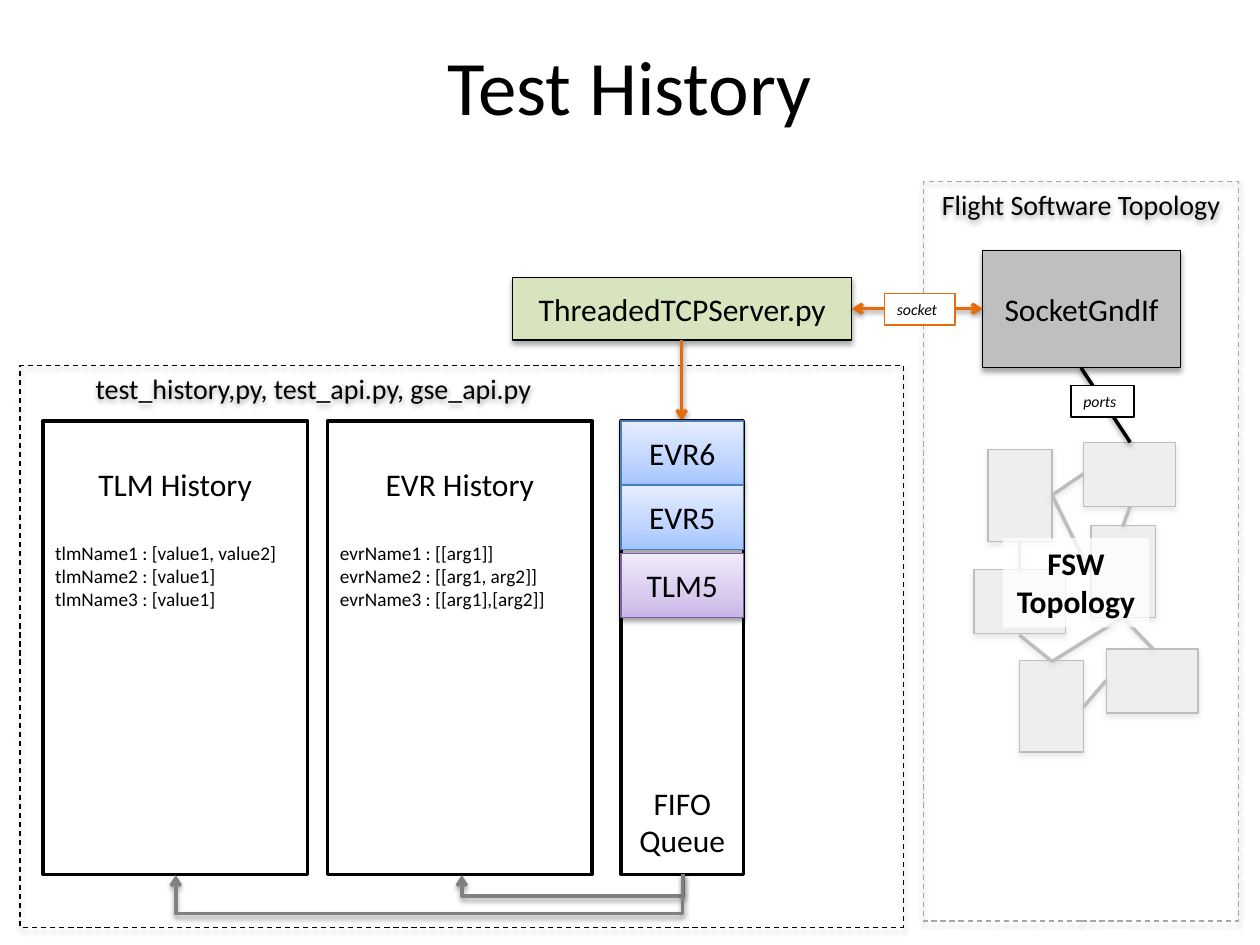
"""Build the Test History architecture slide."""
import copy
from dataclasses import dataclass

import lxml.etree
import pptx
import pptx.dml.color
import pptx.enum.dml
import pptx.enum.shapes
import pptx.enum.text
import pptx.oxml
import pptx.oxml.ns
import pptx.util

PX = 9144
ALIGN = pptx.enum.text.PP_ALIGN
ANCHOR = pptx.enum.text.MSO_ANCHOR
CONNECTOR = pptx.enum.shapes.MSO_CONNECTOR
qn = pptx.oxml.ns.qn


@dataclass(frozen=True)
class Theme:
    font: str = "Calibri"
    black: str = "000000"
    white: str = "FFFFFF"
    gray: str = "BFBFBF"
    frame: str = "A6A6A6"
    feed: str = "808080"
    orange: str = "E46C0A"
    green: str = "D7E4BD"
    blue_edge: str = "4B7EBC"
    purple_edge: str = "7D60A0"
    blue: tuple = ("A4C4FF", "BFD4FF", "E6EEFF")
    purple: tuple = ("C9B5E8", "D8CBEE", "F0EAF9")
    title: int = 44
    body: int = 18
    heading: int = 16
    entry: int = 11
    label: int = 9
    thin: float = 0.75
    thick: float = 2


def rgb(value):
    return pptx.dml.color.RGBColor.from_string(value)


class Diagram:
    def __init__(self, slide, theme):
        self.slide = slide
        self.theme = theme

    def shadow(self, effects, opacity, distance):
        outer = lxml.etree.SubElement(
            effects, qn("a:outerShdw"), blurRad="39370", dist=str(pptx.util.Pt(distance)),
            dir="5400000", rotWithShape="0")
        color = lxml.etree.SubElement(outer, qn("a:srgbClr"), val=self.theme.black)
        lxml.etree.SubElement(color, qn("a:alpha"), val=str(opacity * 1000))

    def gradient(self, shape, colors):
        shape.fill.gradient()
        shape.fill.gradient_angle = 90
        stops = shape._element.spPr.find(".//" + qn("a:gsLst"))
        stops.insert(1, copy.deepcopy(stops[0]))
        for stop, position, color in zip(shape.fill.gradient_stops, (0, 0.35, 1), colors):
            stop.position = position
            stop.color.rgb = rgb(color)

    def box(self, place, fill=None, edge=None, width=None, dashed=False,
            shadow=None, rotation=0, opacity=100):
        shape = self.slide.shapes.add_shape(
            pptx.enum.shapes.MSO_SHAPE.RECTANGLE, *(length * PX for length in place))
        shape.rotation = rotation
        shape.shadow.inherit = False
        if shadow:
            self.shadow(shape._element.spPr.find(qn("a:effectLst")), *shadow)
        if isinstance(fill, tuple):
            self.gradient(shape, fill)
        elif fill:
            shape.fill.solid()
            shape.fill.fore_color.rgb = rgb(fill)
            if opacity < 100:
                color = shape._element.spPr.find(".//" + qn("a:solidFill") + "/" + qn("a:srgbClr"))
                lxml.etree.SubElement(color, qn("a:alpha"), val=str(opacity * 1000))
        else:
            shape.fill.background()
        if edge:
            shape.line.color.rgb = rgb(edge)
            shape.line.width = pptx.util.Pt(width or self.theme.thin)
            if dashed:
                shape.line.dash_style = pptx.enum.dml.MSO_LINE.DASH
        else:
            shape.line.fill.background()
        return shape

    def caption(self, shape, lines, size, align=ALIGN.CENTER, anchor=ANCHOR.MIDDLE,
                bold=False, italic=False, left=10, top=5, bottom=5):
        frame = shape.text_frame
        frame.word_wrap = True
        frame.vertical_anchor = anchor
        frame.margin_left, frame.margin_top, frame.margin_bottom = left * PX, top * PX, bottom * PX
        frame.text = "\n".join(lines)
        for paragraph in frame.paragraphs:
            paragraph.alignment = align
            font = paragraph.font
            font.name, font.size = self.theme.font, pptx.util.Pt(size)
            font.bold, font.italic = bold, italic
            font.color.rgb = rgb(self.theme.black)
        return frame.paragraphs

    def title(self, place, text):
        holder = self.slide.shapes.add_textbox(*(length * PX for length in place))
        self.caption(holder, [text], self.theme.title)

    def history(self, left, heading, entries):
        panel = self.box((left, 334, 210, 360), self.theme.white, self.theme.black, self.theme.thick)
        _, *rows = self.caption(panel, [heading, *entries], self.theme.body,
                                anchor=ANCHOR.TOP, top=35)
        rows[0].space_before = pptx.util.Pt(22)
        for row in rows:
            row.alignment = ALIGN.LEFT
            row.font.size = pptx.util.Pt(self.theme.entry)

    def label(self, place, text, edge):
        tag = self.box(place, self.theme.white, edge)
        self.caption(tag, [text], self.theme.label, align=ALIGN.LEFT, italic=True)

    def line(self, ends, color, arrows=(), kind=CONNECTOR.STRAIGHT):
        link = self.slide.shapes.add_connector(kind, *(length * PX for length in ends))
        link.line.color.rgb = rgb(color)
        link.line.width = pptx.util.Pt(self.theme.thick)
        outline = link._element.spPr.find(qn("a:ln"))
        for end in arrows:
            lxml.etree.SubElement(outline, qn(f"a:{end}End"), type="arrow")
        effects = lxml.etree.SubElement(link._element.spPr, qn("a:effectLst"))
        self.shadow(effects, 38, 1.6)
        return link

    def feed(self, start, end, y, depth):
        center, half = (start + end) // 2, (start - end) // 2
        link = self.line((center, y - half, center + 1, y + half), self.theme.feed,
                         ("tail",), CONNECTOR.ELBOW)
        properties = link._element.spPr
        properties.find(qn("a:xfrm")).set("rot", "5400000")
        geometry = properties.find(qn("a:prstGeom"))
        adjustments = geometry.find(qn("a:avLst"))
        if adjustments is None:
            adjustments = lxml.etree.SubElement(geometry, qn("a:avLst"))
        lxml.etree.SubElement(adjustments, qn("a:gd"), name="adj1", fmla=f"val {depth * 100000}")


def main():
    deck = pptx.Presentation()
    deck.slide_width, deck.slide_height = 1000 * PX, 750 * PX
    theme = Theme()
    diagram = Diagram(deck.slides.add_slide(deck.slide_layouts[6]), theme)
    soft, glow = (35, 1.8), (38, 1.6)

    diagram.title((50, 21, 900, 93), "Test History")
    api = diagram.box((16, 290, 701, 446), edge=theme.black, dashed=True, shadow=soft)
    diagram.caption(api, ["test_history,py, test_api.py, gse_api.py"], theme.heading,
                    align=ALIGN.LEFT, anchor=ANCHOR.TOP, left=60)
    flight = diagram.box((733, 144, 250, 587), edge=theme.frame, dashed=True, shadow=soft)
    diagram.caption(flight, ["Flight Software Topology"], theme.heading, anchor=ANCHOR.TOP)
    ground = diagram.box((780, 199, 157, 93), theme.gray, theme.black, shadow=soft)
    diagram.caption(ground, ["SocketGndIf"], theme.body)

    for left, top, rotation in ((773, 368, 90), (860, 351, 0), (798, 535, 90),
                                (855, 428, 270), (878, 515, 0), (773, 452, 0)):
        diagram.box((left, top, 73, 51), theme.gray, theme.black, shadow=soft, rotation=rotation)
    for ends in ((809, 430, 809, 452), (835, 393, 865, 454), (835, 393, 860, 376),
                 (897, 402, 891, 418), (891, 490, 835, 525), (809, 504, 835, 525),
                 (915, 515, 891, 490), (878, 540, 860, 561)):
        diagram.line(ends, theme.black)
    diagram.box((758, 342, 214, 274), theme.white, opacity=74)
    diagram.line((858, 292, 897, 351), theme.black)
    topology = diagram.box((796, 427, 116, 71), theme.white, opacity=77)
    diagram.caption(topology, ["FSW Topology"], theme.body, anchor=ANCHOR.TOP, bold=True)

    server = diagram.box((407, 220, 269, 50), theme.green, theme.black, shadow=soft)
    diagram.caption(server, ["ThreadedTCPServer.py"], theme.body)
    diagram.line((676, 245, 780, 245), theme.orange, ("head", "tail"))
    diagram.label((702, 233, 56, 25), "socket", theme.orange)
    diagram.label((850, 306, 50, 25), "ports", theme.black)
    diagram.line((541, 270, 541, 334), theme.orange, ("tail",))

    queue = diagram.box((493, 334, 97, 360), theme.white, theme.black, theme.thick)
    diagram.caption(queue, ["FIFO Queue"], theme.body, anchor=ANCHOR.BOTTOM, bottom=12)
    for top, name, fill, edge in ((334, "EVR6", theme.blue, theme.blue_edge),
                                  (385, "EVR5", theme.blue, theme.blue_edge),
                                  (439, "TLM5", theme.purple, theme.purple_edge)):
        message = diagram.box((493, top, 97, 51), fill, edge, shadow=glow)
        diagram.caption(message, [name], theme.body)

    diagram.history(34, "TLM History", ["tlmName1 : [value1, value2]", "tlmName2 : [value1]",
                                        "tlmName3 : [value1]"])
    diagram.history(260, "EVR History", ["evrName1 : [[arg1]]", "evrName2 : [[arg1, arg2]]",
                                         "evrName3 : [[arg1],[arg2]]"])
    diagram.feed(542, 366, 694, 18)
    diagram.feed(541, 139, 694, 32)
    deck.save("out.pptx")


if __name__ == "__main__":
    main()
